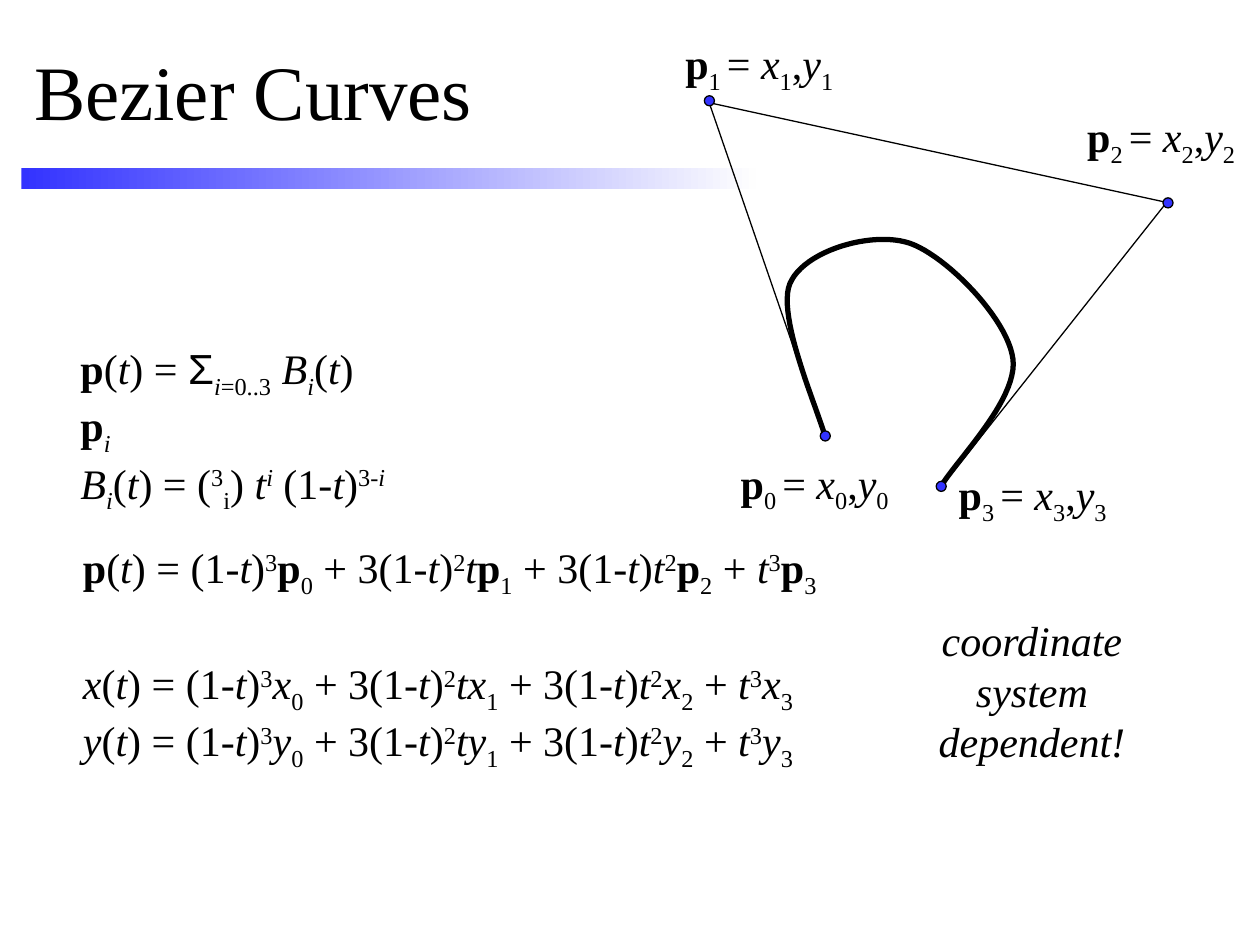
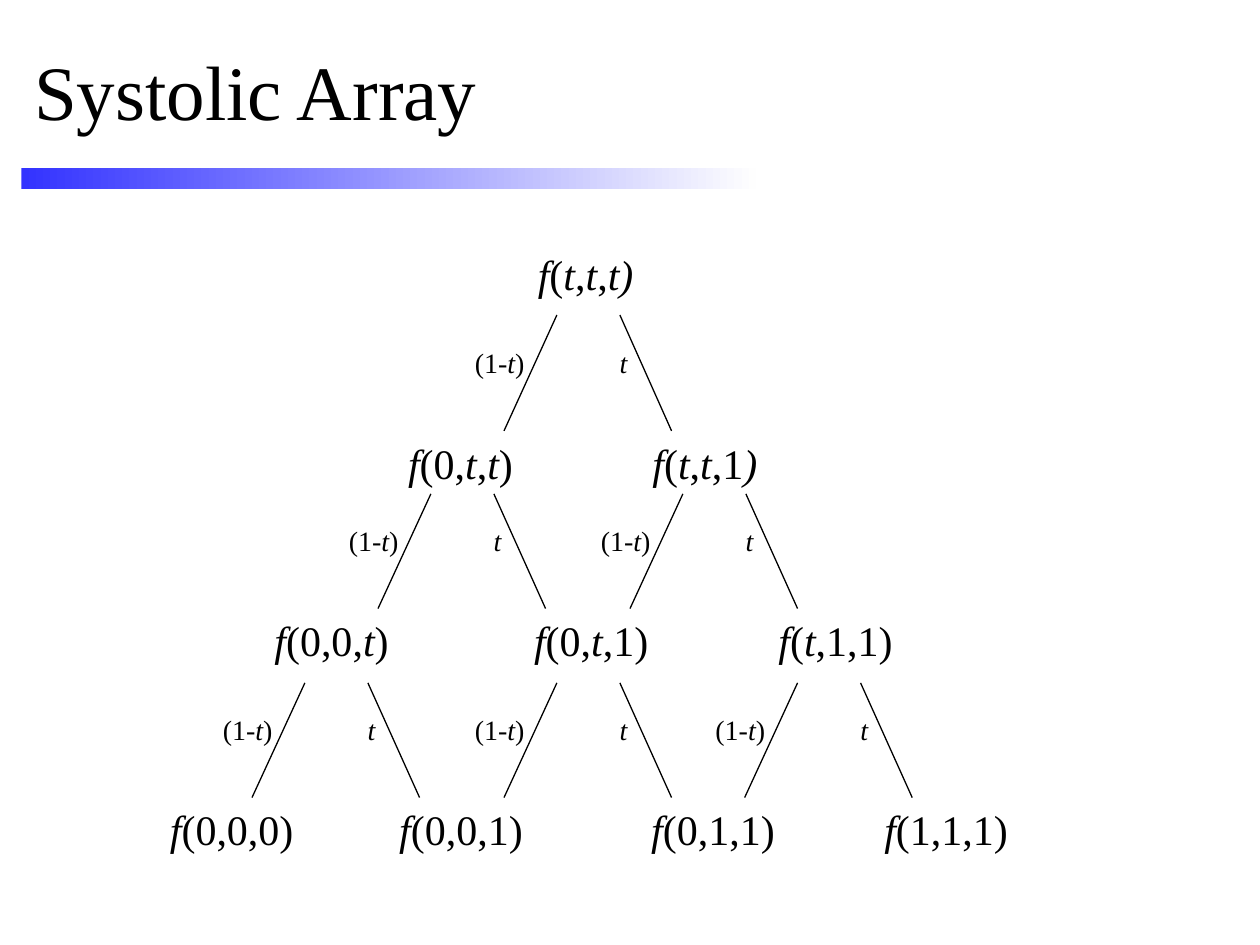
from lxml import etree
from pptx import Presentation
from pptx.dml.color import RGBColor
from pptx.enum import shapes, text
from pptx.oxml import ns
from pptx.util import Inches, Pt

COLORS = {"ink": "000000", "accent": "3333FF", "fade": "FEFEFE"}
FONT, SYMBOL_FONT = "Times New Roman", "Arial"
INSET_X, INSET_Y = Inches(0.1), Inches(0.05)
SLACK = 0.04  # spare width that keeps one-line text on its line

# Marks that switch a style on and off inside a formula
MARKS = {"*": "bold", "/": "italic", "_": "sub", "^": "super", "~": "symbol"}


def color(name):
    return RGBColor.from_string(COLORS[name])


def add_run(paragraph, words, size, styles=()):
    run = paragraph.add_run()
    run.text = words
    font = run.font
    font.name = SYMBOL_FONT if "symbol" in styles else FONT
    font.size = Pt(size)
    font.color.rgb = color("ink")
    font.bold = "bold" in styles
    font.italic = "italic" in styles
    if "sub" in styles:
        font._element.set("baseline", "-25000")
    elif "super" in styles:
        font._element.set("baseline", "30000")


def add_formula(paragraph, formula, size):
    """Split a marked-up formula into runs."""
    styles, words = set(), ""
    for char in formula:
        if char not in MARKS:
            words += char
            continue
        if words:
            add_run(paragraph, words, size, styles)
            words = ""
        styles ^= {MARKS[char]}
    if words:
        add_run(paragraph, words, size, styles)


def set_insets(frame):
    frame.margin_left = frame.margin_right = INSET_X
    frame.margin_top = frame.margin_bottom = INSET_Y


def add_text(slide, box, formulas, size=24, align=text.PP_ALIGN.LEFT, wrap=False):
    left, top, width, height = box
    if not wrap:
        width += SLACK
    frame = slide.shapes.add_textbox(
        *map(Inches, (left, top, width, height))).text_frame
    set_insets(frame)
    frame.word_wrap = wrap
    frame.auto_size = text.MSO_AUTO_SIZE.SHAPE_TO_FIT_TEXT
    for i, formula in enumerate(formulas):
        paragraph = frame.add_paragraph() if i else frame.paragraphs[0]
        paragraph.alignment = align
        add_formula(paragraph, formula, size)


def outline(shape, width):
    shape.line.color.rgb = color("ink")
    shape.line.width = Pt(width)


def add_line(slide, start, end):
    line = slide.shapes.add_connector(
        shapes.MSO_CONNECTOR.STRAIGHT, *map(Inches, (*start, *end)))
    outline(line, 0.75)
    etree.SubElement(line._element.spPr, ns.qn("a:effectLst"))


def add_dot(slide, left, top, size=0.08):
    dot = slide.shapes.add_shape(
        shapes.MSO_SHAPE.OVAL, *map(Inches, (left, top, size, size)))
    dot.shadow.inherit = False
    dot.fill.solid()
    dot.fill.fore_color.rgb = color("accent")
    outline(dot, 0.75)


def bezier_point(controls, t):
    weights = ((1 - t) ** 3, 3 * (1 - t) ** 2 * t, 3 * (1 - t) * t ** 2, t ** 3)
    return tuple(Inches(sum(w * c[axis] for w, c in zip(weights, controls)))
                 for axis in (0, 1))


def add_curve(slide, knots, steps=24):
    """Draw joined cubic segments; every third knot lies on the curve."""
    points = [bezier_point(knots[i:i + 4], step / steps)
              for i in range(0, len(knots) - 1, 3)
              for step in range(1, steps + 1)]
    builder = slide.shapes.build_freeform(*map(Inches, knots[0]))
    builder.add_line_segments(points, close=False)
    curve = builder.convert_to_shape()
    curve.shadow.inherit = False
    curve.fill.background()
    outline(curve, 3)


def add_titled_slide(prs, heading):
    slide = prs.slides.add_slide(prs.slide_layouts[5])

    # Fading band under the title
    band = slide.shapes.add_shape(
        shapes.MSO_SHAPE.RECTANGLE, *map(Inches, (0.17, 1.33, 5.83, 0.17)))
    band.shadow.inherit = False
    band.line.fill.background()
    band.fill.gradient()
    band.fill.gradient_angle = 0
    for stop, name in zip(band.fill.gradient_stops, ("accent", "fade")):
        stop.color.rgb = color(name)

    title = slide.shapes.title
    title.left, title.top, title.width, title.height = map(
        Inches, (0.17, 0.17, 5.83, 1.08))
    frame = title.text_frame
    set_insets(frame)
    frame.word_wrap = True
    frame.auto_size = text.MSO_AUTO_SIZE.NONE
    frame.vertical_anchor = text.MSO_ANCHOR.MIDDLE
    frame.paragraphs[0].alignment = text.PP_ALIGN.LEFT
    add_run(frame.paragraphs[0], heading, 44)
    return slide


def cubic(name, point):
    """Expanded cubic Bezier formula; point(i) gives control value i."""
    return (f"{name}(/t/) = (1-/t/)^3^{point(0)} + 3(1-/t/)^2^/t/{point(1)}"
            f" + 3(1-/t/)/t/^2^{point(2)} + /t/^3^{point(3)}")


def build_bezier(prs):
    slide = add_titled_slide(prs, "Bezier Curves")

    # Curve and its control polygon
    add_curve(slide, [(6.55, 3.47), (6.5, 3.27), (6.16, 2.51), (6.27, 2.25),
                      (6.38, 1.99), (6.92, 1.83), (7.22, 1.93),
                      (7.51, 2.03), (8, 2.53), (8.04, 2.85),
                      (8.08, 3.18), (7.57, 3.67), (7.45, 3.89)])
    add_line(slide, (7.45, 3.89), (9.28, 1.58))
    add_line(slide, (9.23, 1.6), (5.65, 0.82))
    add_line(slide, (6.54, 3.46), (5.62, 0.79))

    # Control points p0 to p3: dot and label corners
    controls = [((6.51, 3.42), (5.78, 3.58)), ((5.59, 0.76), (5.34, 0.25)),
                ((9.23, 1.57), (8.53, 0.83)), ((7.43, 3.82), (7.51, 3.67))]
    for i, (dot, label) in enumerate(controls):
        add_dot(slide, *dot)
        add_text(slide, (*label, 1.37, 0.56), [f"*p*_{i} _= /x/_{i}_,/y/_{i}_"])

    # Formulas
    add_text(slide, (0.54, 2.67, 2.65, 1.01),
             ["*p*(/t/) = ~Σ~_/i/=0..3_ /B_i_/(/t/) *p*_/i/_",
              "/B_i_/(/t/) = (^3^_i_) /t^i^/ (1-/t/)^3-/i/^"], wrap=True)
    add_text(slide, (0.56, 4.25, 6.02, 0.56),
             [cubic("*p*", lambda i: f"*p*_{i}_")])
    add_text(slide, (0.56, 5.17, 5.83, 1.01),
             [cubic(f"/{axis}/", lambda i: f"/{axis}/_{i}_") for axis in "xy"])
    add_text(slide, (7.33, 4.83, 1.68, 1.3),
             ["/coordinate/", "/system/", "/dependent!/"],
             align=text.PP_ALIGN.CENTER)


def add_branches(slide, x, top, bottom):
    """Two weighted edges spreading downwards from a node."""
    add_line(slide, (x - 0.42, bottom), (x, top))
    add_line(slide, (x + 0.5, top), (x + 0.91, bottom))
    add_text(slide, (x - 0.75, top + 0.19, 0.59, 0.37), ["(1-/t/)"], size=16)
    add_text(slide, (x + 0.4, top + 0.19, 0.26, 0.37), ["/t/"], size=16)


def build_systolic(prs):
    slide = add_titled_slide(prs, "Systolic Array")

    # Rows of blossom values: top, node width, nodes by left edge
    levels = [
        (1.92, 0.96, {4.17: "(/t/,/t/,/t)/"}),
        (3.42, 1.03, {3.14: "(0,/t/,/t/)", 5.08: "(/t/,/t/,1/)/"}),
        (4.83, 1.1, {2.08: "(0,0,/t/)", 4.14: "(0,/t/,1)", 6.08: "(/t/,1,1)"}),
        (6.33, 1.18, {1.25: "(0,0,0)", 3.07: "(0,0,1)",
                      5.07: "(0,1,1)", 6.92: "(1,1,1)"}),
    ]
    for top, width, nodes in levels:
        for left, arguments in nodes.items():
            add_text(slide, (left, top, width, 0.5), [f"/f/{arguments}"])

    # Branches from each row down to the next
    branches = [(2.5, [4.42]), (3.92, [3.42, 5.42]), (5.42, [2.42, 4.42, 6.33])]
    for (top, starts), (bottom, _, _) in zip(branches, levels[1:]):
        for x in starts:
            add_branches(slide, x, top, bottom)


def main():
    prs = Presentation()
    prs.slide_width, prs.slide_height = Inches(10), Inches(7.5)
    build_bezier(prs)
    build_systolic(prs)
    prs.save("out.pptx")


if __name__ == "__main__":
    main()
